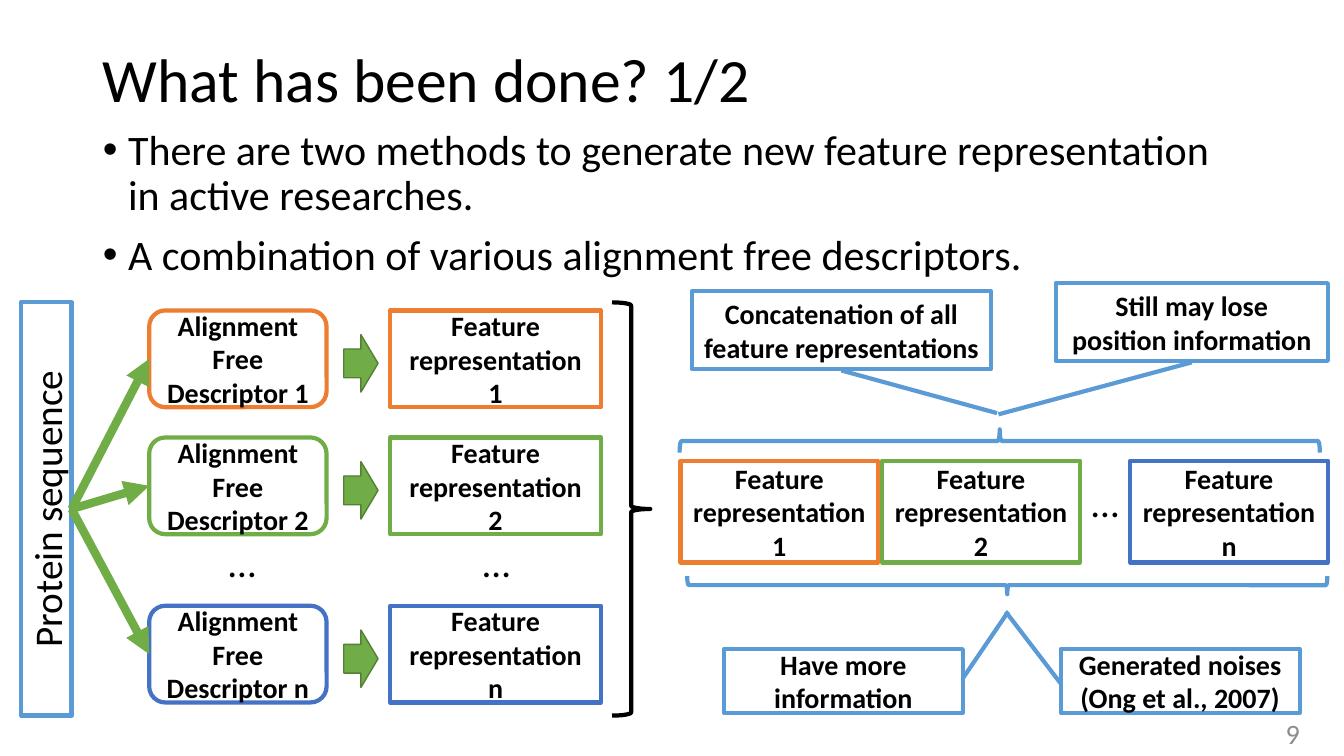
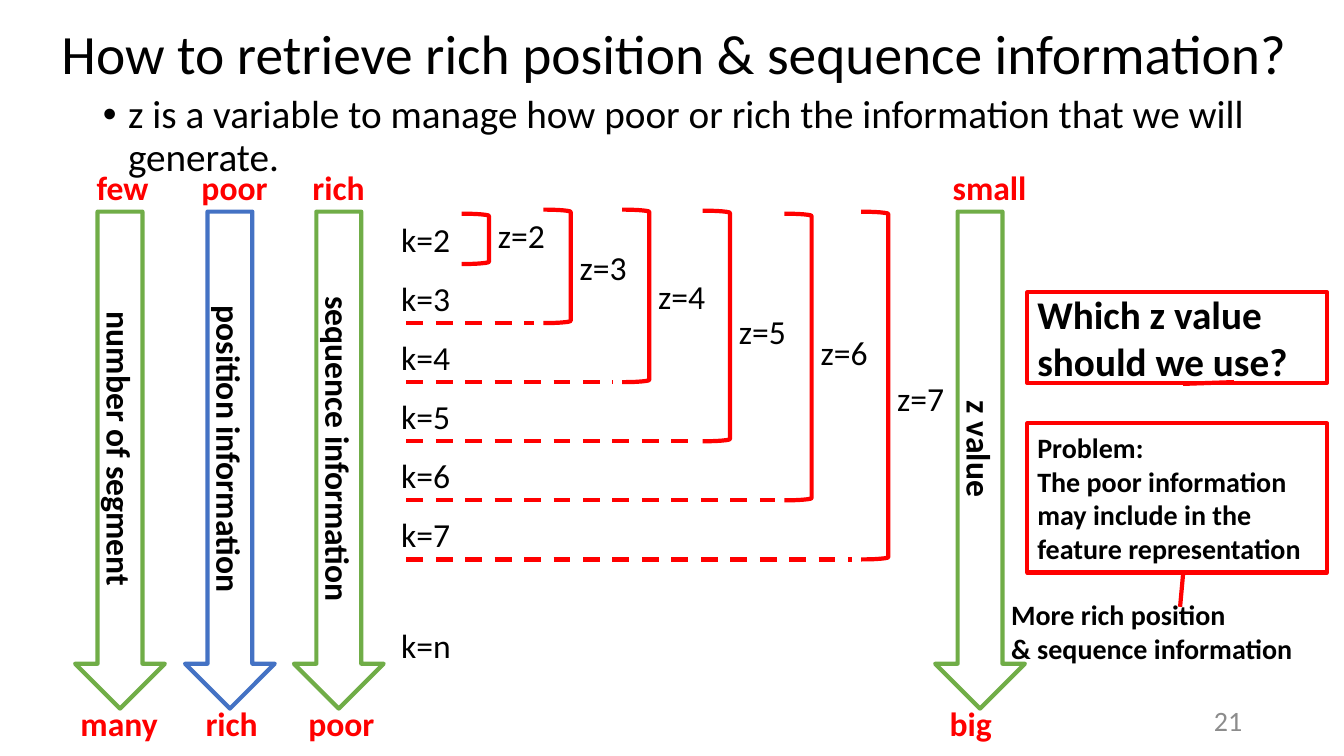
import dataclasses
import pptx
import pptx.util
import pptx.dml.color
import pptx.enum.dml
import pptx.enum.shapes
import pptx.enum.text
import pptx.oxml

Inches = pptx.util.Inches
Pt = pptx.util.Pt
SHAPE = pptx.enum.shapes.MSO_SHAPE
ALIGN = pptx.enum.text.PP_ALIGN
ANCHOR = pptx.enum.text.MSO_ANCHOR
FIT = pptx.enum.text.MSO_AUTO_SIZE
DRAWING = 'xmlns:a="http://schemas.openxmlformats.org/drawingml/2006/main"'


@dataclasses.dataclass(frozen=True)
class Theme:
    font: str = "Calibri"
    black: str = "000000"
    white: str = "FFFFFF"
    gray: str = "8C8C8C"
    orange: str = "ED7D31"
    green: str = "70AD47"
    dark_green: str = "538035"
    blue: str = "4472C4"
    light_blue: str = "5B9BD5"
    red: str = "FF0000"
    title: float = 44
    long_title: float = 39.6
    body: float = 30
    large: float = 28
    label: float = 24
    small: float = 20
    outline: float = 3
    arrow: float = 6


T = Theme()
VARIANTS = (("1", T.orange), ("2", T.green), ("n", T.blue))


def rgb(value):
    return pptx.dml.color.RGBColor.from_string(value)


def place(sp, box):
    sp.left, sp.top, sp.width, sp.height = (Inches(v) for v in box)


def write(sp, text, size, color=T.black, bold=False, align=ALIGN.LEFT):
    tf = sp.text_frame
    tf.text = text
    for p in tf.paragraphs:
        p.alignment = align
        for r in p.runs:
            r.font.name = T.font
            r.font.size = Pt(size)
            r.font.bold = bold
            r.font.color.rgb = rgb(color)
    return tf


def add_label(s, box, text, size=T.label, color=T.black, bold=False, wrap=False):
    sp = s.shapes.add_textbox(*(Inches(v) for v in box))
    tf = write(sp, text, size, color, bold)
    tf.word_wrap = wrap
    tf.auto_size = FIT.SHAPE_TO_FIT_TEXT
    return sp


def add_outline(s, kind, box, color, fill=None, width=T.outline, rotation=0):
    sp = s.shapes.add_shape(kind, *(Inches(v) for v in box))
    sp.shadow.inherit = False
    sp.rotation = rotation
    sp.line.color.rgb = rgb(color)
    sp.line.width = Pt(width)
    if fill:
        sp.fill.solid()
        sp.fill.fore_color.rgb = rgb(fill)
    else:
        sp.fill.background()
    return sp


def add_box(s, kind, box, color, text, size=T.small, bold=True,
            align=ALIGN.CENTER, rotation=0):
    sp = add_outline(s, kind, box, color, T.white, rotation=rotation)
    tf = write(sp, text, size, bold=bold, align=align)
    tf.word_wrap = True
    tf.vertical_anchor = ANCHOR.MIDDLE
    return sp


def add_callout(s, box, color, text, pointer, **style):
    sp = add_box(s, SHAPE.LINE_CALLOUT_1, box, color, text, **style)
    for i, value in enumerate(pointer):
        sp.adjustments[i] = value
    return sp


def add_line(s, start, end, color, width):
    line = s.shapes.add_connector(pptx.enum.shapes.MSO_CONNECTOR.STRAIGHT,
                                  *(Inches(v) for v in (*start, *end)))
    line.line.color.rgb = rgb(color)
    line.line.width = Pt(width)
    props = line._element.spPr
    props.append(pptx.oxml.parse_xml(f"<a:effectLst {DRAWING}/>"))
    return line


def add_arrow(s, source, target):
    line = add_line(s, (0, 0), (1, 1), T.green, T.arrow)
    line.begin_connect(source, 3)
    line.end_connect(target, 1)
    line.line._get_or_add_ln().append(
        pptx.oxml.parse_xml(f'<a:tailEnd {DRAWING} type="triangle"/>'))


def add_content_slide(prs, title, title_box, title_size, bullets, body_box,
                      body_size, number, number_box):
    s = prs.slides.add_slide(prs.slide_layouts[1])
    place(s.shapes.title, title_box)
    tf = write(s.shapes.title, title, title_size)
    tf.vertical_anchor = ANCHOR.MIDDLE
    tf.auto_size = FIT.NONE
    tf.paragraphs[0].line_spacing = 0.9
    body = s.placeholders[1]
    place(body, body_box)
    tf = write(body, "\n".join(bullets), body_size)
    tf.auto_size = FIT.NONE
    for i, p in enumerate(tf.paragraphs):
        p.line_spacing = 0.9
        p.space_before = Pt(10 if i else 0)
        props = p._p.get_or_add_pPr()
        props.set("marL", str(Inches(0.25)))
        props.set("indent", str(Inches(-0.25)))
    sp = s.shapes.add_textbox(*(Inches(v) for v in number_box))
    tf = write(sp, number, T.small, T.gray, align=ALIGN.RIGHT)
    tf.word_wrap = True
    tf.vertical_anchor = ANCHOR.MIDDLE
    return s


def add_descriptors(s, x, y):
    sequence = add_box(s, SHAPE.RECTANGLE, (x, y, 0.5, 4.1), T.light_blue,
                       "Protein sequence", T.large, False)
    tf = sequence.text_frame
    tf.margin_left = tf.margin_right = Inches(0.05)
    tf._txBody.bodyPr.set("vert", "vert270")
    for (name, color), dy in zip(VARIANTS, (0.08, 1.34, 3.01)):
        top = y + dy
        descriptor = add_box(s, SHAPE.ROUNDED_RECTANGLE, (x + 1.27, top, 1.76, 0.96),
                             color, f"Alignment Free Descriptor {name}")
        add_box(s, SHAPE.RECTANGLE, (x + 3.66, top, 2.09, 0.96), color,
                f"Feature representation {name}")
        add_outline(s, SHAPE.RIGHT_ARROW, (x + 3.2, top + 0.24, 0.34, 0.57),
                    T.dark_green, T.green, 1)
        add_arrow(s, sequence, descriptor)
    for dx in (1.96, 4.48):
        add_label(s, (x + dx, y + 2.29, 0.47, 0.57), "…", T.large)
    add_outline(s, SHAPE.RIGHT_BRACE, (x + 5.86, y, 0.38, 4.1), T.black)


def add_combination(s, x, y):
    for (name, color), dx in zip(VARIANTS, (0, 2, 4.46)):
        add_box(s, SHAPE.RECTANGLE, (x + dx, y, 1.96, 1.01), color,
                f"Feature representation {name}")
    add_label(s, (x + 3.98, y + 0.13, 0.47, 0.57), "…", T.large)
    add_outline(s, SHAPE.LEFT_BRACE, (x + 3.05, y - 3.37, 0.23, 6.35),
                T.light_blue, rotation=90)
    add_outline(s, SHAPE.RIGHT_BRACE, (x + 3.15, y - 1.94, 0.18, 6.35),
                T.light_blue, rotation=90)
    remarks = (
        ("Concatenation of all feature representations",
         (0.11, -1.68, 2.97, 0.77), (1.02, 0.5, 1.57, 1.02)),
        ("Still may lose position information",
         (3.72, -1.76, 2.7, 0.77), (1.02, 0.5, 1.69, -0.21)),
        ("Have more information",
         (0.43, 1.87, 2.37, 0.63), (0.46, 1, -0.59, 1.19)),
        ("Generated noises (Ong et al., 2007)",
         (3.77, 1.87, 2.37, 0.63), (0.54, 0, -0.59, -0.23)),
    )
    for text, (dx, dy, w, h), pointer in remarks:
        add_callout(s, (x + dx, y + dy, w, h), T.light_blue, text, pointer)


def add_scale(s, center, y, color, text, start, end):
    length, breadth = 4.93, 0.89
    add_box(s, SHAPE.RIGHT_ARROW,
            (center - length / 2, y + (length - breadth) / 2, length, breadth),
            color, text, T.label, rotation=90)
    for (word, dx, w), top in ((start, y - 0.49), (end, y + 4.82)):
        add_label(s, (center + dx, top, w, 0.5), word, color=T.red, bold=True, wrap=True)


def add_ranges(s, x, y):
    row = 2.93 / 5
    for k in range(2, 8):
        add_label(s, (x, y + row * (k - 2), 0.69, 0.5), f"k={k}")
    add_label(s, (x, y + 4.03, 0.7, 0.5), "k=n")
    ranges = ((0.7, 0, -0.04), (1.51, -0.04, 0.28), (2.29, -0.04, 0.57),
              (3.09, -0.03, 0.92), (3.9, 0, 1.12), (4.66, -0.02, 1.58))
    for i, (dx, top, label_top) in enumerate(ranges):
        bottom = 0.5 + row * i
        add_outline(s, SHAPE.RIGHT_BRACKET,
                    (x + dx, y + top, 0.27, bottom - top), T.red)
        add_label(s, (x + dx + 0.26, y + label_top, 0.67, 0.5), f"z={i + 2}")
        if i:
            line = add_line(s, (x + 0.15, y + bottom), (x + dx - 0.09, y + bottom),
                            T.red, T.outline)
            line.line.dash_style = pptx.enum.dml.MSO_LINE.DASH


def add_question(s, x, y):
    add_label(s, (x - 0.26, y + 2.98, 3.06, 0.77),
              "More rich position\n& sequence information", T.small, bold=True, wrap=True)
    add_callout(s, (x, y + 1.3, 2.97, 1.48), T.red,
                "Problem:\nThe poor information may include in the feature representation",
                (1.01, 0.52, 1.23, 0.51), align=ALIGN.LEFT)
    add_callout(s, (x, y, 2.97, 0.9), T.red, "Which z value should we use?",
                (1.01, 0.52, 0.99, 0.69), size=T.large, align=ALIGN.LEFT)


def build_methods(prs):
    s = add_content_slide(
        prs, "What has been done? 1/2", (0.92, 0.4, 11.5, 0.83), T.title,
        ("There are two methods to generate new feature representation in active researches.",
         "A combination of various alignment free descriptors."),
        (0.92, 1.23, 11.5, 5.53), T.body, "9", (9.99, 7.07, 3, 0.4))
    add_descriptors(s, 0.21, 3)
    add_combination(s, 6.75, 4.57)


def build_retrieval(prs):
    s = add_content_slide(
        prs, "How to retrieve rich position & sequence information?",
        (0.51, 0.15, 12.49, 0.83), T.long_title,
        ("z is a variable to manage how poor or rich the information that we will generate.",),
        (0.92, 0.89, 11.67, 5.53), T.large, "21", (11.74, 6.95, 0.68, 0.4))
    scales = (
        (1.19, T.green, "number of segment", ("few", -0.33, 0.72), ("many", -0.49, 1.04)),
        (2.28, T.blue, "position information", ("poor", -0.38, 0.89), ("rich", -0.34, 0.79)),
        (3.36, T.green, "sequence information", ("rich", -0.36, 0.79), ("poor", -0.4, 0.86)),
        (9.72, T.green, "z value", ("small", -0.37, 0.99), ("big", -0.4, 0.86)),
    )
    for center, color, text, start, end in scales:
        add_scale(s, center, 2.1, color, text, start, end)
    add_ranges(s, 3.88, 2.12)
    add_question(s, 10.19, 2.9)


def main():
    prs = pptx.Presentation()
    prs.slide_width = Inches(13.33)
    prs.slide_height = Inches(7.5)
    build_methods(prs)
    build_retrieval(prs)
    prs.save("out.pptx")


if __name__ == "__main__":
    main()
